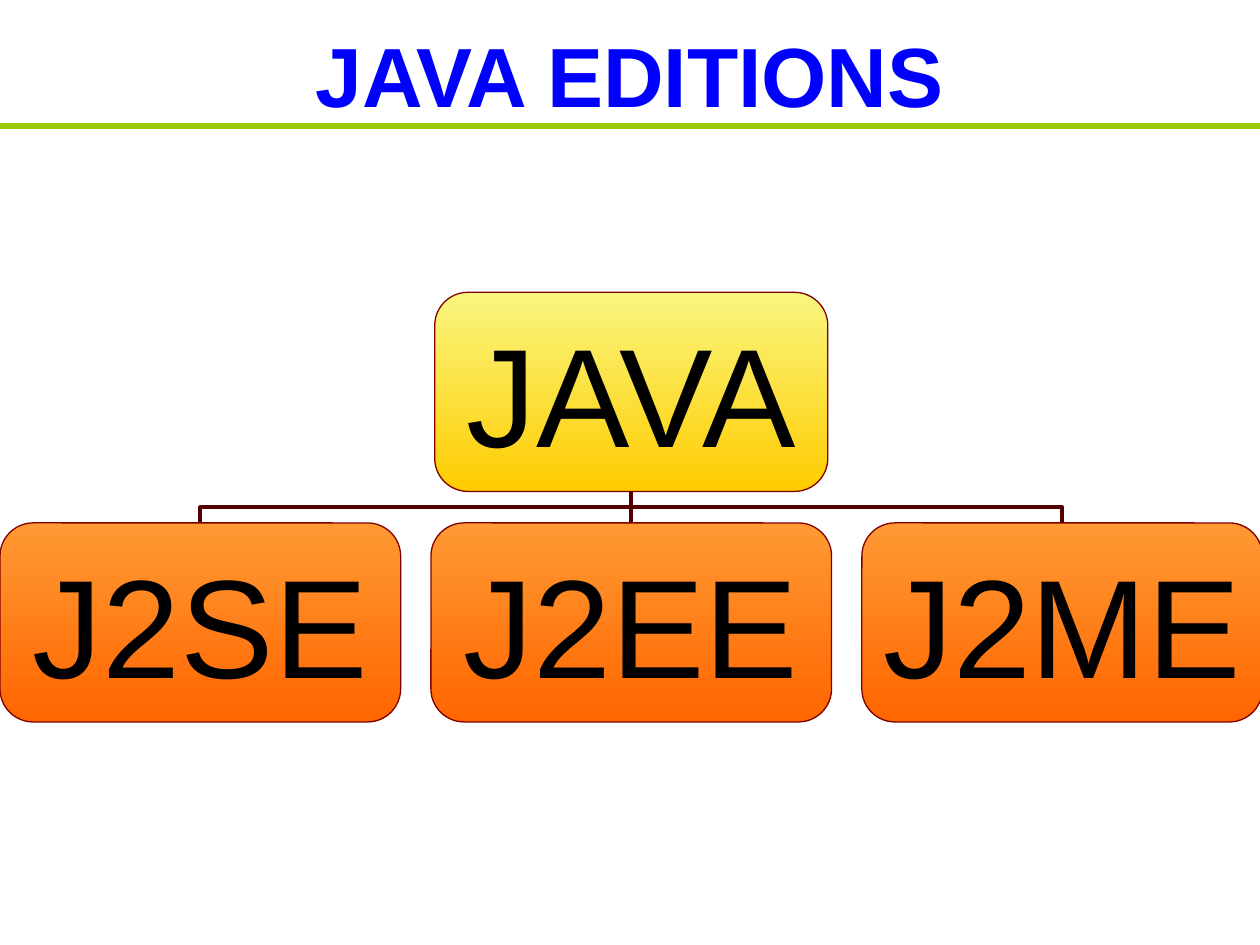
import dataclasses

import pptx
import pptx.dml.color
import pptx.enum.shapes
import pptx.enum.text
import pptx.oxml.ns
import pptx.util
from lxml import etree


@dataclasses.dataclass(frozen=True)
class Theme:
    font: str = "Arial"
    title_size: int = 48
    box_size: int = 80
    title: str = "0000FF"
    rule: str = "99CC00"
    text: str = "000000"
    outline: str = "800000"
    connector: str = "540000"
    root_fill: tuple = ("F9F67F", "FFCC00")
    edition_fill: tuple = ("FF9933", "FF6600")


@dataclasses.dataclass(frozen=True)
class Box:
    left: float
    top: float
    width: float
    height: float


THEME = Theme()
WIDTH, HEIGHT = 10, 7.5
EDITIONS = ["J2SE", "J2EE", "J2ME"]
inches = pptx.util.Inches
CONNECTOR = pptx.enum.shapes.MSO_CONNECTOR


def color(value):
    return pptx.dml.color.RGBColor.from_string(value)


def write(shape, text, size, ink, bold=False):
    frame = shape.text_frame
    frame.text = text
    frame.vertical_anchor = pptx.enum.text.MSO_ANCHOR.MIDDLE
    paragraph = frame.paragraphs[0]
    paragraph.alignment = pptx.enum.text.PP_ALIGN.CENTER
    font = paragraph.runs[0].font
    font.name, font.size, font.bold = THEME.font, pptx.util.Pt(size), bold
    font.color.rgb = color(ink)


def style_line(connector, ink, weight):
    connector.line.color.rgb = color(ink)
    connector.line.width = pptx.util.Pt(weight)
    properties = connector._element.spPr
    etree.SubElement(properties, pptx.oxml.ns.qn("a:effectLst"))


def add_box(slide, text, box, gradient):
    shape = slide.shapes.add_shape(
        pptx.enum.shapes.MSO_SHAPE.ROUNDED_RECTANGLE,
        inches(box.left), inches(box.top), inches(box.width), inches(box.height))
    shape.shadow.inherit = False
    shape.fill.gradient()
    shape.fill.gradient_angle = 270  # counter-clockwise, so top to bottom
    for stop, value in zip(shape.fill.gradient_stops, gradient):
        stop.color.rgb = color(value)
    shape.line.color.rgb = color(THEME.outline)
    shape.line.width = pptx.util.Pt(0.75)
    write(shape, text, THEME.box_size, THEME.text)
    shape.text_frame.word_wrap = False
    return shape


def link(slide, child, root):
    """Join the top of child to the bottom of root, bending halfway between."""
    begin_x, begin_y = child.left + child.width // 2, child.top
    end_x, end_y = root.left + root.width // 2, root.top + root.height
    straight = abs(begin_x - end_x) < inches(0.01)
    kind = CONNECTOR.STRAIGHT if straight else CONNECTOR.ELBOW
    connector = slide.shapes.add_connector(kind, begin_x, begin_y, end_x, end_y)
    connector.begin_connect(child, 0)
    connector.end_connect(root, 2)
    if not straight:
        # An elbow leaves sideways: lay it out sideways, then turn it 90 degrees
        middle_x, middle_y = (begin_x + end_x) // 2, (begin_y + end_y) // 2
        connector.begin_x = middle_x + begin_y - middle_y
        connector.begin_y = middle_y - begin_x + middle_x
        connector.end_x = middle_x + end_y - middle_y
        connector.end_y = middle_y - end_x + middle_x
        connector._element.spPr.find(pptx.oxml.ns.qn("a:xfrm")).set("rot", "5400000")
    style_line(connector, THEME.connector, 2.25)


def add_header(slide, box):
    # Title
    title = slide.shapes.add_textbox(
        inches(box.left + box.width * 0.05), inches(box.top),
        inches(box.width * 0.9), inches(box.height))
    title.text_frame.word_wrap = True
    write(title, "JAVA EDITIONS", THEME.title_size, THEME.title, bold=True)
    # Rule under the title
    rule = slide.shapes.add_connector(
        CONNECTOR.STRAIGHT, inches(box.left), inches(1),
        inches(box.left + box.width), inches(1))
    style_line(rule, THEME.rule, 3)


def add_hierarchy(slide, box):
    gap, row_gap, root_width = 0.24, 0.25, 3.12
    count = len(EDITIONS)
    width = (box.width - gap * (count - 1)) / count
    height = (box.height - row_gap) / 2
    # Root box, centred over the editions
    root_left = box.left + (box.width - root_width) / 2
    root = add_box(slide, "JAVA", Box(root_left, box.top, root_width, height),
                   THEME.root_fill)
    # Row of editions, each linked to the root
    for column, name in enumerate(EDITIONS):
        cell = Box(box.left + column * (width + gap), box.top + height + row_gap,
                   width, height)
        link(slide, add_box(slide, name, cell, THEME.edition_fill), root)


def main():
    presentation = pptx.Presentation()
    presentation.slide_width = inches(WIDTH)
    presentation.slide_height = inches(HEIGHT)
    slide = presentation.slides.add_slide(presentation.slide_layouts[6])
    add_header(slide, Box(0, 0, WIDTH, 1.17))
    add_hierarchy(slide, Box(0, 2.32, 10.02, 3.41))
    presentation.save("out.pptx")


if __name__ == "__main__":
    main()
